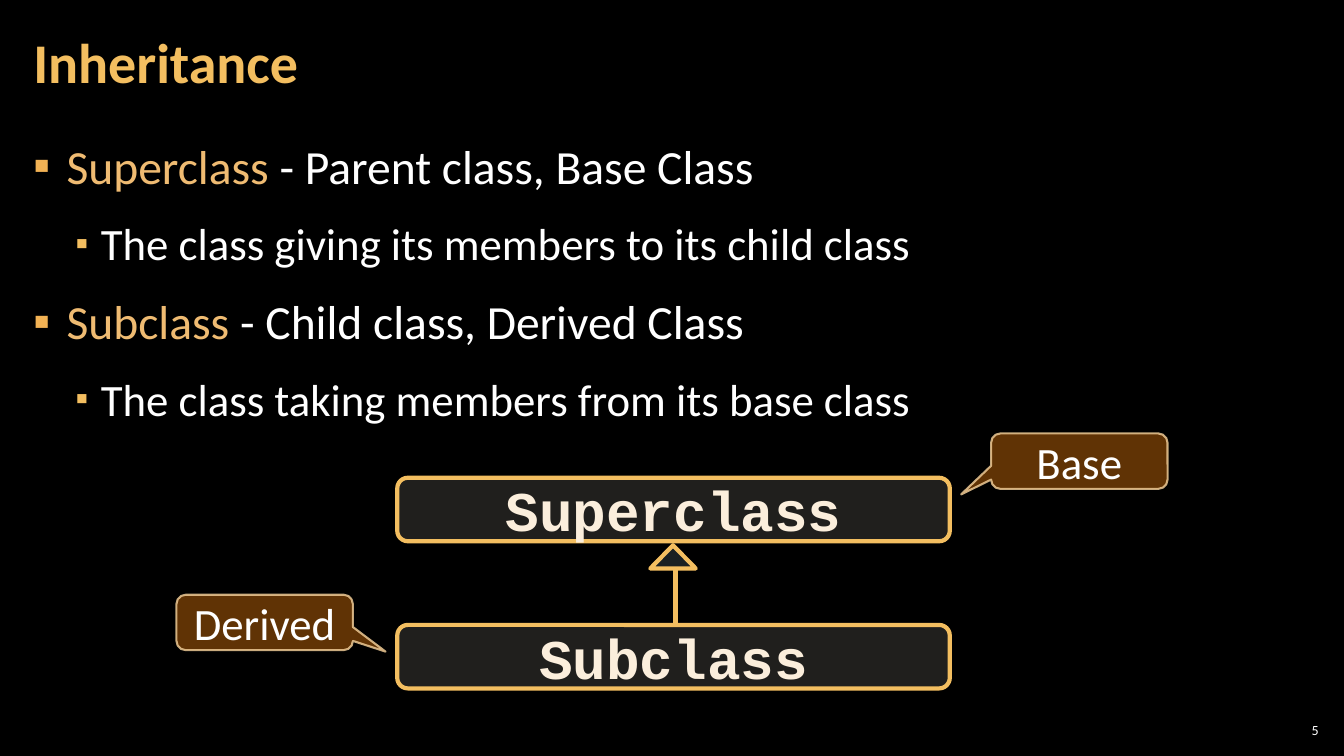
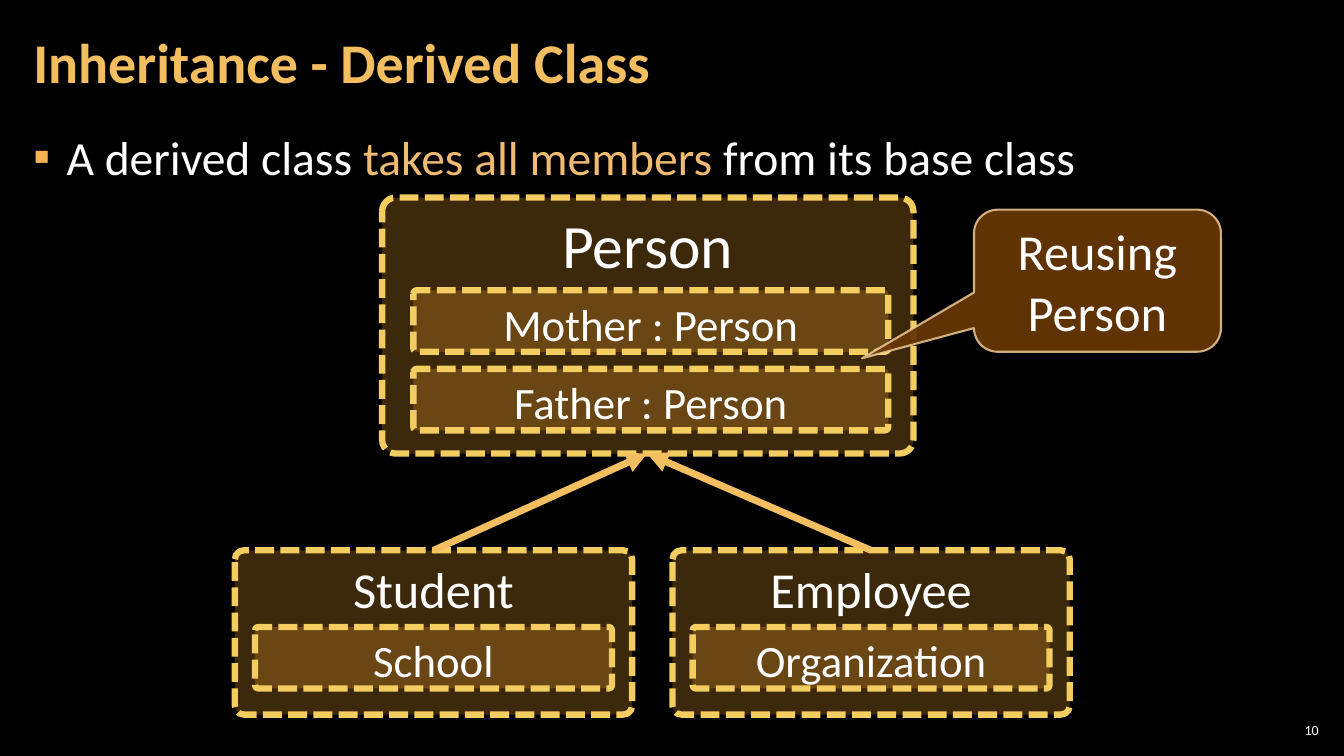
from lxml import etree
from pptx import Presentation
from pptx.dml import color
from pptx.enum import dml, shapes, text
from pptx.oxml import ns
from pptx.util import Inches, Pt

GOLD, SAND, WHITE, CREAM = "F3BE60", "EFBB72", "FFFFFF", "FBEEDC"
AMBER, LEMON, BROWN, PALE = "F0A22E", "F3CD60", "663606", "F8D49E"
STONE, ICE, MARK = "D9D5C7", "B5DBE5", "F2B254"
KINDS = shapes.MSO_SHAPE


def rgb(code):
    return color.RGBColor.from_string(code)


def node(parent, tag, **attrs):
    return etree.SubElement(parent, ns.qn(tag), attrs)


class Deck:
    font = "Calibri"

    def __init__(self):
        self.show = Presentation()
        self.show.slide_width = Inches(13.33)
        self.show.slide_height = Inches(7.5)
        back = self.show.slide_master.background.fill
        back.solid()
        back.fore_color.rgb = rgb("000000")
        self.slide = None

    def start(self, title, number):
        self.slide = self.show.slides.add_slide(self.show.slide_layouts[1])
        frame = self.place(self.slide.shapes.title, 0.21, 0.04, 10.47, 1.21)
        frame.vertical_anchor = text.MSO_ANCHOR.MIDDLE
        para = frame.paragraphs[0]
        para.alignment = text.PP_ALIGN.LEFT
        para.line_spacing = 0.9
        self.run(para, title, 40, GOLD, bold=True)
        self.number(number)

    def place(self, holder, x, y, w, h):
        holder.left, holder.top = Inches(x), Inches(y)
        holder.width, holder.height = Inches(w), Inches(h)
        frame = holder.text_frame
        frame.auto_size = text.MSO_AUTO_SIZE.NONE
        frame.word_wrap = True
        frame.margin_left = frame.margin_right = Inches(0.12)
        frame.margin_top = frame.margin_bottom = Inches(0.04)
        return frame

    def run(self, para, words, size, hue, font=None, bold=False):
        run = para.add_run()
        run.text = words
        run.font.size = Pt(size)
        run.font.name = font or self.font
        run.font.bold = bold
        run.font.color.rgb = rgb(hue)

    def number(self, value):
        box = self.slide.shapes.add_textbox(
            Inches(12.65), Inches(7.14), Inches(0.47), Inches(0.21))
        frame = box.text_frame
        frame.word_wrap = True
        frame.vertical_anchor = text.MSO_ANCHOR.MIDDLE
        frame.margin_left = frame.margin_right = Inches(0.04)
        frame.margin_top = frame.margin_bottom = Inches(0.04)
        para = frame.paragraphs[0]
        para.alignment = text.PP_ALIGN.RIGHT
        self.run(para, str(value), 10, WHITE)

    def list(self, top, items):
        frame = self.place(self.slide.placeholders[1], 0.21, top, 12.91, 6.09)
        for count, (level, runs) in enumerate(items):
            para = frame.add_paragraph() if count else frame.paragraphs[0]
            para.level = level
            para.line_spacing = 1.1
            para.space_before = para.space_after = Pt(6)
            self.bullet(para, level)
            for words, hue in runs:
                self.run(para, words, 32 if level else 34, hue)

    def bullet(self, para, level):
        props = para._p.get_or_add_pPr()
        props.set("marL", str(Inches(0.67 if level else 0.33)))
        props.set("indent", str(Inches(-0.25 if level else -0.33)))
        tint = node(props, "a:buClr")
        node(tint, "a:srgbClr", val=GOLD if level else MARK)
        node(props, "a:buSzPct", val="80000" if level else "100000")
        node(props, "a:buFont", typeface=self.font)
        node(props, "a:buChar", char="▪")

    def fade(self, fill, share):
        tone = fill._xPr.find(".//" + ns.qn("a:srgbClr"))
        node(tone, "a:alpha", val=str(share * 1000))

    def shape(self, kind, x, y, w, h, fill, share, edge, width):
        item = self.slide.shapes.add_shape(
            kind, Inches(x), Inches(y), Inches(w), Inches(h))
        item.shadow.inherit = False
        item.fill.solid()
        item.fill.fore_color.rgb = rgb(fill)
        self.fade(item.fill, share)
        item.line.color.rgb = rgb(edge)
        item.line.width = Pt(width)
        return item

    def label(self, item, words, size, hue=WHITE, **style):
        para = item.text_frame.paragraphs[0]
        para.alignment = text.PP_ALIGN.CENTER
        self.run(para, words, size, hue, **style)

    def block(self, words, x, y):
        item = self.shape(KINDS.ROUNDED_RECTANGLE, x, y, 5.48, 0.63,
                          STONE, 15, GOLD, 3)
        item.text_frame.word_wrap = False
        self.label(item, words, 40, CREAM, font="Courier New", bold=True)

    def panel(self, words, size, x, y, w, h):
        item = self.shape(KINDS.ROUNDED_RECTANGLE, x, y, w, h,
                          AMBER, 25, LEMON, 4.5)
        item.adjustments[0] = 0.054
        item.line.dash_style = dml.MSO_LINE.SQUARE_DOT
        item.text_frame.vertical_anchor = text.MSO_ANCHOR.TOP
        self.label(item, words, size)

    def bubble(self, words, size, x, y, w, h, tip):
        item = self.shape(KINDS.ROUNDED_RECTANGULAR_CALLOUT, x, y, w, h,
                          BROWN, 95, PALE, 1.5)
        self.fade(item.line.fill, 80)
        for index, value in enumerate((*tip, 0.167)):
            item.adjustments[index] = value
        self.label(item, words, size)

    def link(self, start, end, width, head=False):
        item = self.slide.shapes.add_connector(
            shapes.MSO_CONNECTOR.STRAIGHT, *map(Inches, (*start, *end)))
        item.line.color.rgb = rgb(GOLD)
        item.line.width = Pt(width)
        if head:
            node(item.line._get_or_add_ln(), "a:tailEnd", type="triangle")
        node(item._element.spPr, "a:effectLst")


def basics(deck):
    deck.start("Inheritance", 5)
    deck.list(1.26, [
        (0, [("Superclass", SAND), (" - Parent class, Base Class", WHITE)]),
        (1, [("The class giving its members to its child class", WHITE)]),
        (0, [("Subclass ", SAND), ("- Child class, Derived Class", WHITE)]),
        (1, [("The class taking members from its base class", WHITE)]),
    ])
    deck.block("Superclass", 3.94, 4.74)
    deck.block("Subclass", 3.94, 6.2)
    deck.link((6.7, 6.21), (6.7, 5.63), 3)
    deck.shape(KINDS.ISOSCELES_TRIANGLE, 6.45, 5.41, 0.45, 0.23,
               ICE, 15, GOLD, 3)
    deck.bubble("Derived", 32, 1.75, 5.9, 1.75, 0.55, (0.685, 0.526))
    deck.bubble("Base", 32, 9.83, 4.3, 1.75, 0.55, (-0.67, 0.6))


def derived(deck):
    deck.start("Inheritance - Derived Class", 10)
    deck.list(1.17, [
        (0, [("A derived class ", WHITE), ("takes all members ", SAND),
             ("from its base class", WHITE)]),
    ])
    deck.panel("Person", 44, 3.79, 1.96, 5.27, 2.54)
    for words, y in (("Mother : Person", 2.88), ("Father : Person", 3.66)):
        deck.panel(words, 32, 4.1, y, 4.71, 0.61)
    for words, field, x in (("Student", "School", 2.33),
                            ("Employee", "Organization", 6.67)):
        deck.panel(words, 36, x, 5.46, 3.94, 1.63)
        deck.panel(field, 32, x + 0.2, 6.22, 3.54, 0.61)
        deck.link((x + 1.97, 5.46), (6.42, 4.5), 5, head=True)
    deck.bubble("Reusing Person", 36, 9.66, 2.08, 2.45, 1.41, (-0.953, 0.546))


def main():
    deck = Deck()
    basics(deck)
    derived(deck)
    deck.show.save("out.pptx")


if __name__ == "__main__":
    main()
